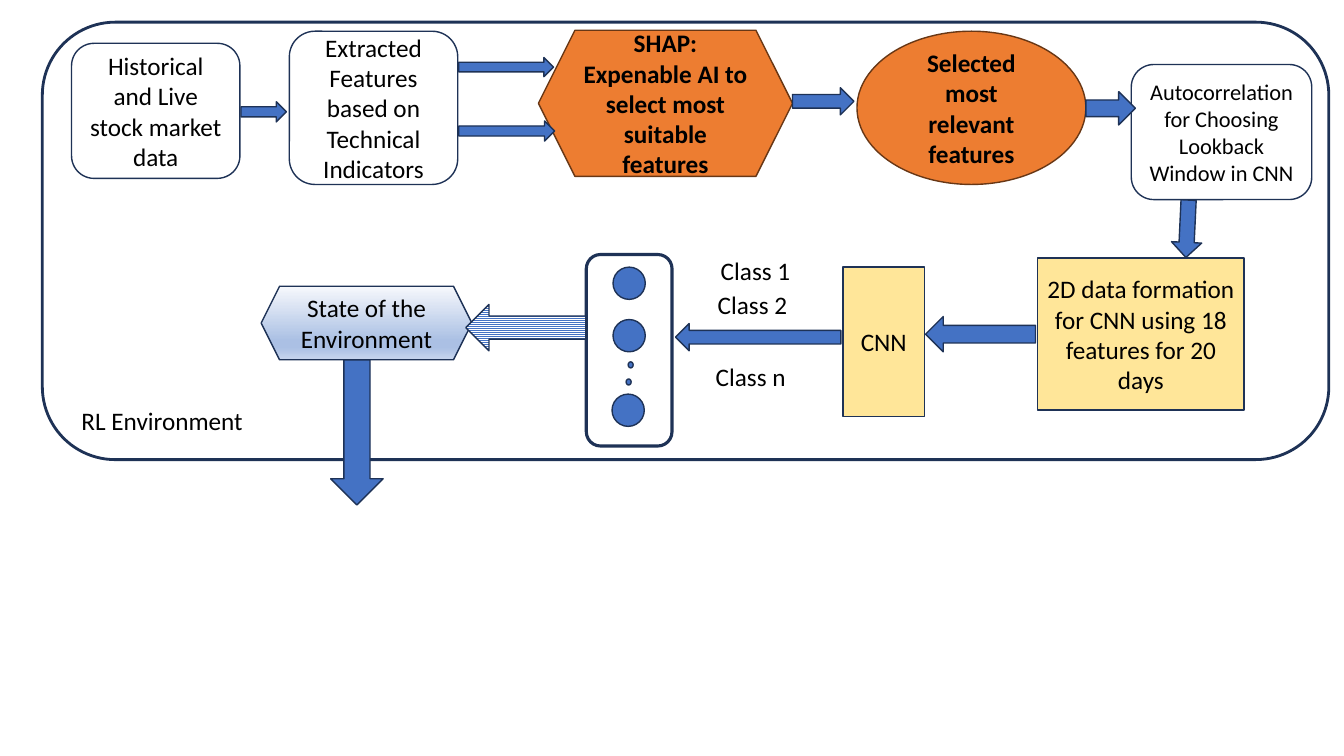
from lxml.etree import SubElement as Sub
from pptx import Presentation
from pptx.dml.color import RGBColor
from pptx.enum.dml import MSO_PATTERN as Pat
from pptx.enum.shapes import MSO_SHAPE as Form
from pptx.enum.text import MSO_ANCHOR as Anchor, MSO_AUTO_SIZE as Fit, PP_ALIGN as Align
from pptx.oxml.ns import qn
from pptx.util import Inches, Pt

NAVY, BLUE, WHITE = "1E3256", "4472C4", "FFFFFF"
RUST, BROWN, SAND = "ED7D31", "683715", "FFE699"
FADE = [(0, "F6F8FC"), (74, "ABC0E4"), (83, "ABC0E4"), (100, "C7D5ED")]


def tint(code):
    return RGBColor.from_string(code)


class Flow:
    face, size, ink = "Calibri", 18, "000000"

    def __init__(self, slide):
        self.shapes = slide.shapes

    def style(self, para, size, bold=False):
        font = para.font
        font.name, font.size, font.bold = self.face, Pt(size), bold
        font.color.rgb = tint(self.ink)

    def shape(self, form, box, fill=None, line=NAVY, width=1):
        item = self.shapes.add_shape(form, *map(Inches, box))
        item.shadow.inherit = False
        if fill:
            item.fill.solid()
            item.fill.fore_color.rgb = tint(fill)
        else:
            item.fill.background()
        item.line.color.rgb = tint(line)
        item.line.width = Pt(width)
        return item

    def node(self, form, box, text, fill=None, line=NAVY, size=size, bold=False):
        item = self.shape(form, box, fill, line)
        frame = item.text_frame
        frame.word_wrap = True
        frame.vertical_anchor = Anchor.MIDDLE
        para = frame.paragraphs[0]
        para.text = text
        para.alignment = Align.CENTER
        self.style(para, size, bold)
        return item

    def arrow(self, box, turn=0):
        item = self.shape(Form.RIGHT_ARROW, box, BLUE)
        item.rotation = turn
        return item

    def dot(self, left, top, wide, high):
        self.shape(Form.FLOWCHART_CONNECTOR, (left, top, wide, high), BLUE)

    def label(self, left, top, wide, text):
        item = self.shapes.add_textbox(*map(Inches, (left, top, wide, 0.4)))
        frame = item.text_frame
        frame.word_wrap = True
        frame.auto_size = Fit.SHAPE_TO_FIT_TEXT
        para = frame.paragraphs[0]
        para.text = text
        self.style(para, self.size)

    def fade(self, item, stops):
        item.fill.gradient()
        item.fill.gradient_angle = 270
        bands = item._element.spPr.find(qn("a:gradFill")).find(qn("a:gsLst"))
        for old in list(bands):
            bands.remove(old)
        for pos, code in stops:
            stop = Sub(bands, qn("a:gs"), pos=str(pos * 1000))
            Sub(stop, qn("a:srgbClr"), val=code)

    def stripe(self, item):
        item.fill.patterned()
        item.fill.pattern = Pat.LIGHT_HORIZONTAL
        item.fill.fore_color.rgb = tint(BLUE)
        item.fill.back_color.rgb = tint(WHITE)


def main():
    deck = Presentation()
    deck.slide_width, deck.slide_height = Inches(13.33), Inches(7.5)
    flow = Flow(deck.slides.add_slide(deck.slide_layouts[6]))
    round_box = Form.ROUNDED_RECTANGLE

    flow.shape(round_box, (0.42, 0.22, 12.76, 4.34), width=2)
    flow.label(0.71, 3.97, 2.27, "RL Environment")

    flow.node(round_box, (0.71, 0.43, 1.67, 1.34),
              "Historical and Live stock market data")
    flow.node(Form.HEXAGON, (5.34, 0.3, 2.52, 1.45),
              "SHAP: Expenable AI to select most suitable features",
              RUST, BROWN, bold=True)
    flow.node(Form.OVAL, (8.5, 0.31, 2.27, 1.52),
              "Selected most relevant features", RUST, BROWN, bold=True)
    flow.node(round_box, (2.87, 0.31, 1.67, 1.52),
              "Extracted Features based on Technical Indicators")
    flow.node(round_box, (11.22, 0.64, 1.79, 1.34),
              "Autocorrelation for Choosing Lookback Window in CNN", size=16)
    flow.node(Form.RECTANGLE, (10.29, 2.56, 2.05, 1.51),
              "2D data formation for CNN using 18 features for 20 days", SAND)
    flow.node(Form.RECTANGLE, (8.36, 2.65, 0.81, 1.48), "CNN", SAND)
    state = flow.node(Form.HEXAGON, (2.59, 2.84, 2.09, 0.73),
                      "State of the Environment")
    flow.fade(state, FADE)

    layer = flow.shape(round_box, (5.29, 3.05, 1.9, 0.85), WHITE, width=2.25)
    layer.rotation = 90
    for left, top in ((6.08, 2.65), (6.08, 3.17), (6.07, 3.91)):
        flow.dot(left, top, 0.32, 0.32)
    for left, top in ((6.23, 3.59), (6.21, 3.76)):
        flow.dot(left, top, 0.05, 0.06)
    for left, top, name in ((7.05, 2.48, "1"), (7.02, 2.82, "2"), (7, 3.54, "n")):
        flow.label(left, top, 1.18, f"Class {name}")

    for box, turn in (
        ((2.39, 1.01, 0.45, 0.2), 0),
        ((4.55, 0.57, 0.94, 0.19), 0),
        ((4.55, 1.2, 0.95, 0.2), 0),
        ((7.86, 0.87, 0.61, 0.27), 0),
        ((10.77, 0.91, 0.49, 0.33), 0),
        ((11.49, 2.12, 0.57, 0.3), 92.7),
        ((9.18, 3.14, 1.09, 0.35), 180),
        ((6.7, 3.21, 1.64, 0.27), 180),
        ((2.82, 4.03, 1.44, 0.52), 90),
    ):
        flow.arrow(box, turn)
    flow.stripe(flow.arrow((4.62, 3.02, 1.19, 0.46), 180))

    deck.save("out.pptx")


if __name__ == "__main__":
    main()
